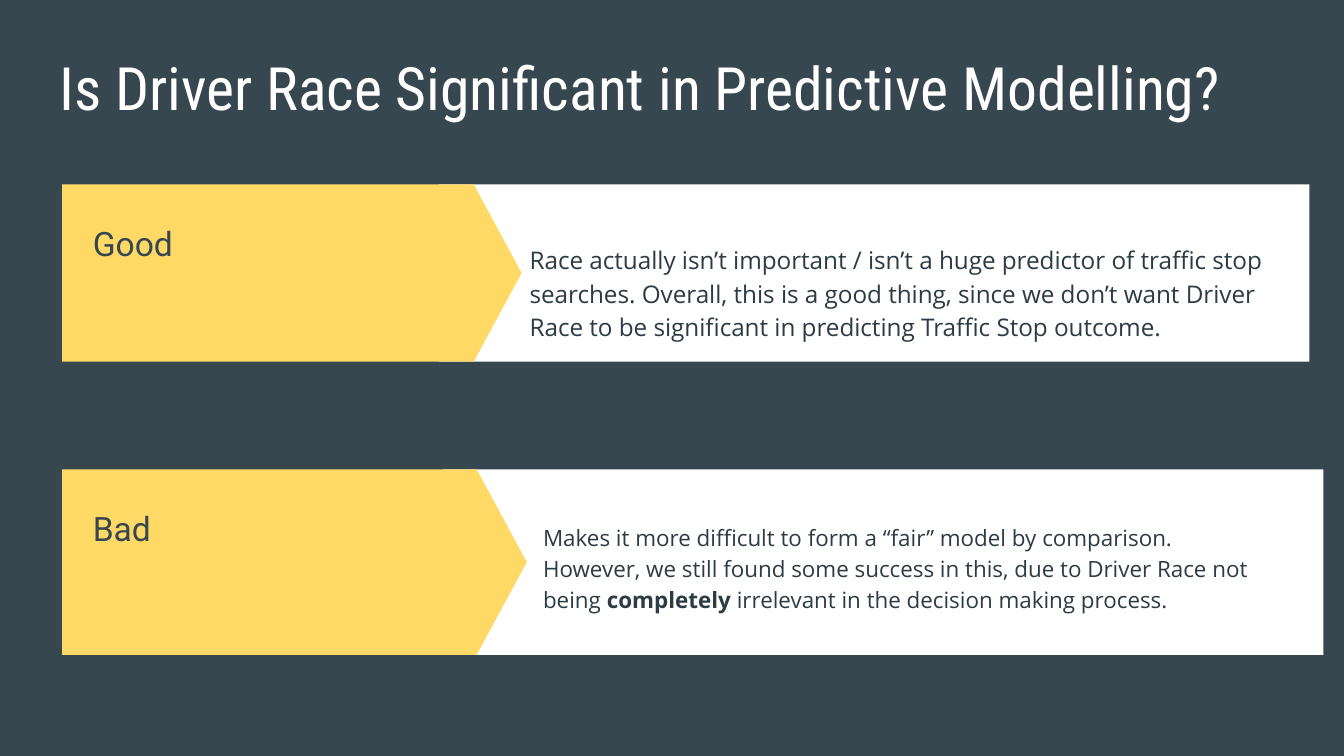
from pptx import Presentation
from pptx.dml.color import RGBColor
from pptx.enum.shapes import MSO_SHAPE
from pptx.enum.text import MSO_ANCHOR
from pptx.util import Inches, Pt

WIDE = Inches(10)
HIGH = WIDE * 9 // 16
SLATE, WHITE, GOLD, INK = "37474F", "FFFFFF", "FFD966", "2D3B45"


def color(code):
    return RGBColor.from_string(code)


def place(x, y, w, h):
    """Turn percent shares of the slide into lengths."""
    return [int(part * side / 100)
            for part, side in zip((x, y, w, h), (WIDE, HIGH) * 2)]


def add_block(slide, kind, box, fill):
    block = slide.shapes.add_shape(kind, *place(*box))
    block.shadow.inherit = False
    block.fill.solid()
    block.fill.fore_color.rgb = color(fill)
    block.line.fill.background()
    return block


def add_text(slide, box, runs, face, size, ink, anchor=MSO_ANCHOR.MIDDLE):
    """Write (text, bold) runs as one paragraph and return it."""
    frame = slide.shapes.add_textbox(*place(*box)).text_frame
    frame.word_wrap = True
    frame.vertical_anchor = anchor
    frame.margin_left = frame.margin_right = Inches(0.1)
    frame.margin_top = frame.margin_bottom = Inches(0.1)
    para = frame.paragraphs[0]
    para.font.name, para.font.size = face, Pt(size)
    para.font.color.rgb = color(ink)
    for text, bold in runs:
        run = para.add_run()
        run.text = text
        if bold:
            run.font.bold = True
    return para


def add_title(slide, box, text):
    add_text(slide, box, [(text, False)], "Roboto Condensed", 32, WHITE,
             MSO_ANCHOR.TOP)


def add_band(slide, box, label, runs, inset, size):
    """Draw a white band with a gold arrow, a label and a verdict."""
    x, y, w, h = box
    # The arrow overlaps the left end of the panel
    left = 30.2 * w / 100
    add_block(slide, MSO_SHAPE.RECTANGLE, (x + left, y, w - left, h), WHITE)
    arrow = add_block(slide, MSO_SHAPE.PENTAGON,
                      (x, y, 36.85 * w / 100, h), GOLD)
    arrow.adjustments[0] = 0.27
    # Label on the arrow
    add_text(slide, (x + 1.3, y, 26.5, 15.5), [(label, False)],
             "Roboto", 18, SLATE)
    # Verdict on the panel
    dx, dy, wide, high = inset
    para = add_text(slide, (x + dx, y + dy, wide, high), runs,
                    "Open Sans", size, INK)
    para.line_spacing = 1.15
    para.space_after = Pt(12)


def main():
    deck = Presentation()
    deck.slide_width, deck.slide_height = WIDE, HIGH
    slide = deck.slides.add_slide(deck.slide_layouts[6])
    slide.background.fill.solid()
    slide.background.fill.fore_color.rgb = color(SLATE)

    add_title(slide, (3.45, 5, 93.2, 11.2),
              "Is Driver Race Significant in Predictive Modelling?")

    good = [("Race actually isn’t important / isn’t a huge predictor of "
             "traffic stop searches. Overall, this is a good thing, since we "
             "don’t want Driver Race to be significant in predicting Traffic "
             "Stop outcome.", False)]
    bad = [("Makes it more difficult to form a “fair” model by comparison. "
            "However, we still found some success in this, due to Driver "
            "Race not being ", False),
           ("completely", True),
           (" irrelevant in the decision making process.", False)]
    add_band(slide, (4.62, 24.4, 92.8, 23.45), "Good", good,
             (33.8, 4.8, 58.5, 18.7), 13)
    add_band(slide, (4.62, 62.08, 93.85, 24.55), "Bad", bad,
             (34.8, 5.15, 55.9, 15.5), 12)

    deck.save("out.pptx")


if __name__ == "__main__":
    main()
